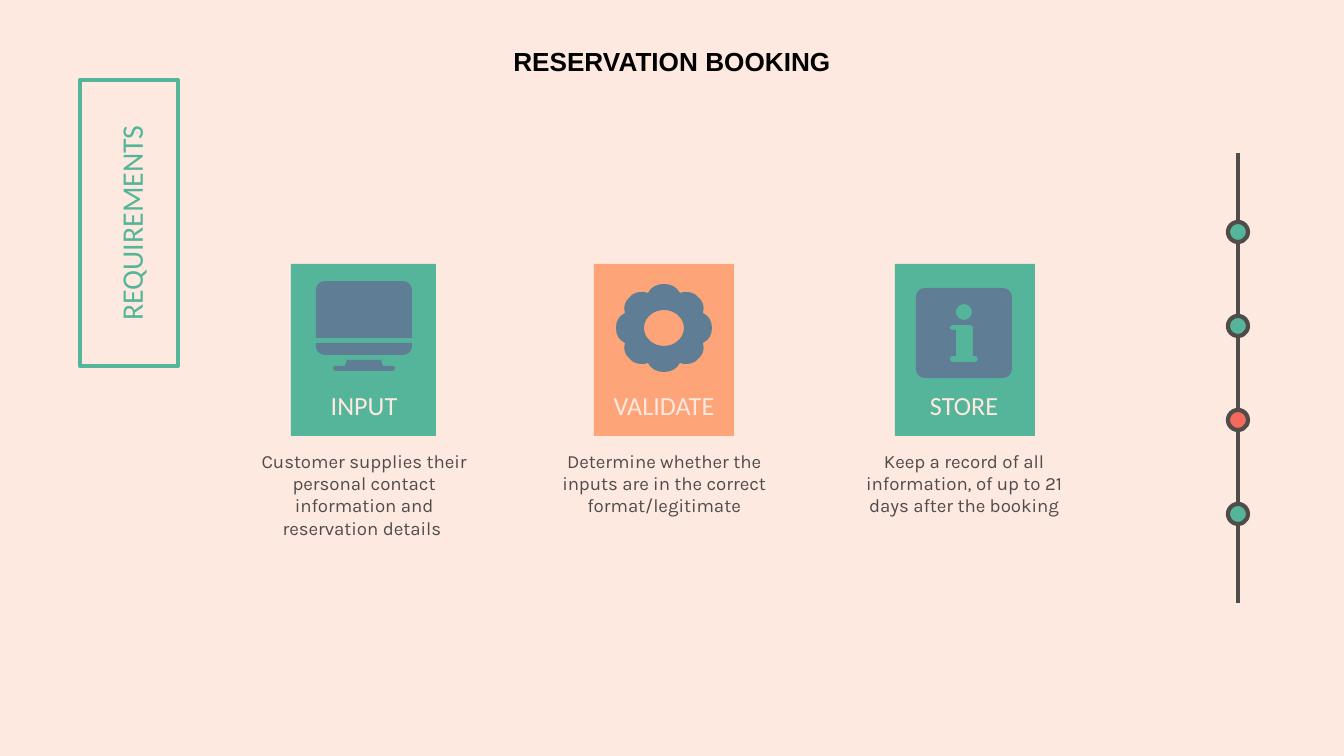
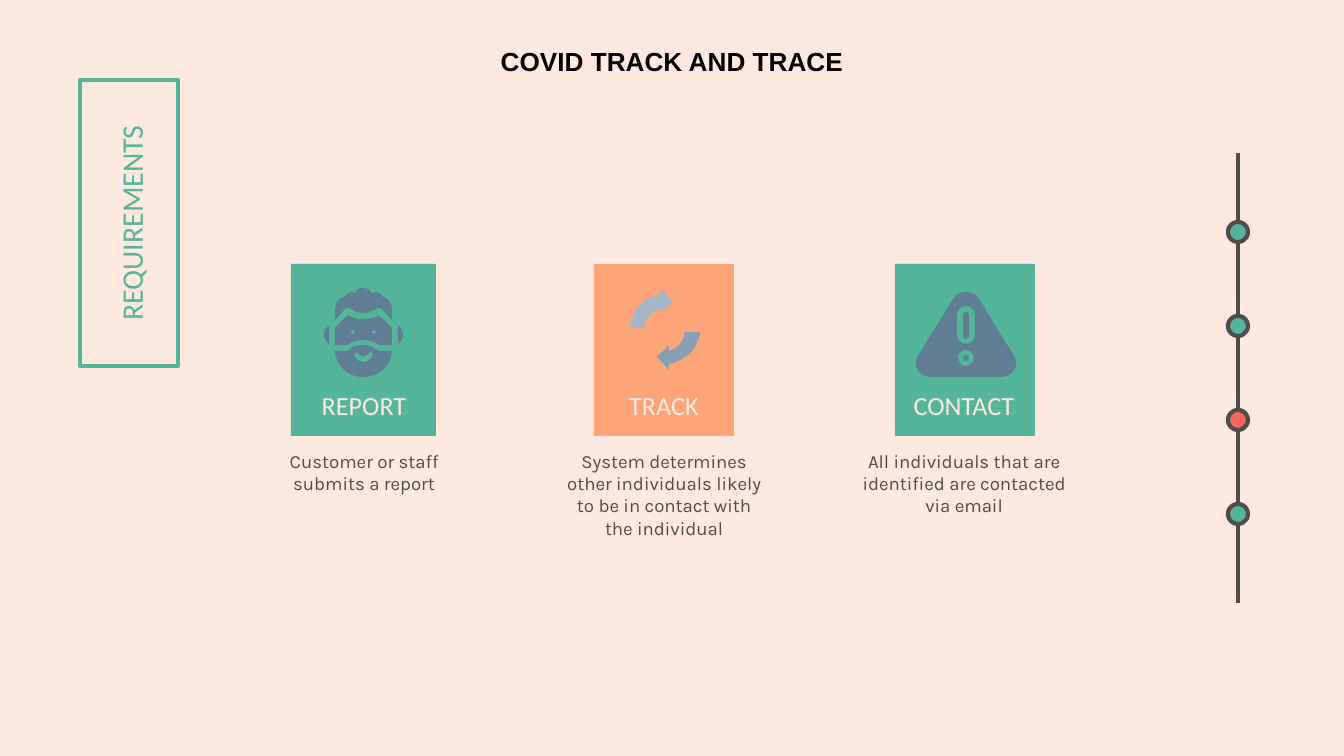
from lxml import etree
from pptx import Presentation
from pptx.dml.color import RGBColor
from pptx.enum.shapes import MSO_CONNECTOR, MSO_SHAPE
from pptx.enum.text import MSO_ANCHOR as Anchor, PP_ALIGN as Align
from pptx.oxml.ns import qn
from pptx.util import Inches, Pt

PAPER = RGBColor(0xFD, 0xE9, 0xDF)
GREEN = RGBColor(0x55, 0xB5, 0x9A)
ORANGE = RGBColor(0xFD, 0xA4, 0x79)
RED = RGBColor(0xF5, 0x6A, 0x5D)
INK = RGBColor(0x4F, 0x4C, 0x4A)
BLACK = RGBColor(0, 0, 0)
SLATE = RGBColor(0x5F, 0x7D, 0x95)
LIGHT_SLATE = RGBColor(0xA5, 0xB7, 0xC6)
MID_SLATE = RGBColor(0x86, 0x9F, 0xB2)

PIXEL = Inches(1) / 134.4
STROKE = Pt(2.25)


def px(value):
    return round(value * PIXEL)


# Outline makers: each returns M / L / C commands in pixels
def oval(x, y, rx, ry):
    kx, ky = rx * 0.55, ry * 0.55
    return (f"M {x} {y - ry} C {x + kx} {y - ry} {x + rx} {y - ky} {x + rx} {y} "
            f"C {x + rx} {y + ky} {x + kx} {y + ry} {x} {y + ry} "
            f"C {x - kx} {y + ry} {x - rx} {y + ky} {x - rx} {y} "
            f"C {x - rx} {y - ky} {x - kx} {y - ry} {x} {y - ry} ")


def rounded(left, top, right, bottom, r):
    k = r * 0.45
    return (f"M {left + r} {top} "
            f"C {left + k} {top} {left} {top + k} {left} {top + r} L {left} {bottom - r} "
            f"C {left} {bottom - k} {left + k} {bottom} {left + r} {bottom} L {right - r} {bottom} "
            f"C {right - k} {bottom} {right} {bottom - k} {right} {bottom - r} L {right} {top + r} "
            f"C {right} {top + k} {right - k} {top} {right - r} {top} ")


# Icons: lists of (colour, outline)
MONITOR = [
    (SLATE, "M 347 360 L 345 366 336 366 C 335 366 333 367 333 368 "
            "C 333 370 335 371 336 371 L 392 371 C 394 371 395 370 395 368 "
            "C 395 367 394 366 392 366 L 383 366 381 360"),
    (SLATE, "M 316 343 L 316 347 C 316 351 320 355 325 355 L 403 355 "
            "C 408 355 412 351 412 347 L 412 343"),
    (SLATE, "M 325 281 C 320 281 316 285 316 290 L 316 338 412 338 412 290 "
            "C 412 285 408 281 403 281"),
]
GEAR = [
    (SLATE, oval(664, 328, 20, 18) +
     "M 664 284 C 657 284 651 287 648 293 C 646 292 644 292 642 292 "
     "C 638 292 633 293 630 297 C 625 301 623 307 625 313 "
     "C 619 316 616 321 616 328 C 616 335 619 340 625 343 "
     "C 623 349 625 355 630 359 C 633 363 638 364 642 364 "
     "C 644 364 646 364 648 363 C 651 369 657 372 664 372 "
     "C 671 372 677 369 680 363 C 682 364 684 364 686 364 "
     "C 690 364 695 363 698 359 C 703 355 705 349 703 343 "
     "C 709 340 712 335 712 328 C 712 321 709 316 703 313 "
     "C 705 307 703 301 698 297 C 695 293 690 292 686 292 "
     "C 684 292 682 292 680 293 C 677 287 671 284 664 284"),
]
INFO = [
    (SLATE, oval(964, 312, 8, 8) +
     "M 970 325 C 972 325 973 326 973 328 L 973 356 975 356 "
     "C 977 356 978 357 978 359 C 978 361 977 362 975 362 L 953 362 "
     "C 951 362 950 361 950 359 C 950 357 951 356 953 356 L 956 356 956 330 953 330 "
     "C 951 330 950 329 950 328 C 950 326 951 325 953 325 " +
     rounded(916, 288, 1012, 378, 9)),
]
MASKED_FACE = [
    (SLATE, "M 329 325 C 326 328 324 331 324 335 C 324 339 326 342 329 344"),
    (SLATE, oval(353, 332, 2, 2) + oval(374, 332, 2, 2) +
     "M 348 315 L 335 328 335 345 347 345 C 352 342 358 340 363 340 "
     "C 369 340 375 342 380 345 L 392 345 392 328 379 315 "
     "C 374 318 369 319 363 319 C 358 319 352 318 348 315"),
    (SLATE, "M 363 288 C 360 288 356 289 355 293 C 350 291 346 293 344 297 "
            "C 339 298 335 303 335 309 L 335 320 345 309 C 346 308 348 307 350 308 "
            "C 354 311 358 313 363 313 C 369 313 373 311 377 308 "
            "C 379 307 381 308 382 309 L 392 320 392 309 "
            "C 392 303 388 298 383 297 C 381 293 377 291 372 293 C 371 290 367 288 363 288"),
    (SLATE, "M 371 352 C 373 352 374 355 372 357 C 370 360 367 362 363 362 "
            "C 360 362 357 360 355 357 C 353 354 356 351 358 353 "
            "C 359 355 361 356 363 356 C 366 356 367 355 369 353 C 369 353 370 352 371 352 "
            "M 363 345 C 358 345 353 346 349 350 C 348 351 348 351 347 351 L 335 351 "
            "C 336 366 348 377 363 377 C 379 377 391 366 392 351 L 379 351 "
            "C 379 351 378 351 377 350 C 373 347 368 345 363 345"),
    (SLATE, "M 398 325 L 398 344 C 401 342 403 339 403 335 C 403 331 401 328 398 325"),
]
CYCLE = [
    (LIGHT_SLATE, "M 661 289 L 661 294 C 644 297 631 311 630 328 L 644 328 "
                  "C 645 319 652 311 661 309 L 661 313 673 302"),
    (MID_SLATE, "M 685 332 C 684 340 678 349 669 351 L 669 345 657 357 669 370 "
                "669 364 C 685 361 699 348 700 332"),
]
WARNING = [
    (SLATE, rounded(963, 312, 969, 339, 3)),
    (SLATE, rounded(957, 306, 975, 344, 9) + oval(966, 358, 8, 8) +
     "M 966 292 C 961 292 956 294 953 299 L 918 356 C 912 366 919 377 931 377 "
     "L 1001 377 C 1013 377 1020 366 1014 356 L 979 299 C 976 294 971 292 966 292"),
    (SLATE, oval(966, 358, 3, 3)),
]

# Content: title, then (label, caption, icon) for each card
PAGES = [
    ("RESERVATION BOOKING", [
        ("INPUT", "Customer supplies their personal contact information and reservation details ",
         MONITOR),
        ("VALIDATE", "Determine whether the inputs are in the correct format/legitimate", GEAR),
        ("STORE", "Keep a record of all information, of up to 21 days after the booking", INFO),
    ]),
    ("COVID TRACK AND TRACE", [
        ("REPORT", "Customer or staff submits a report", MASKED_FACE),
        ("TRACK", "System determines other individuals likely to be in contact with the individual",
         CYCLE),
        ("CONTACT", "All individuals that are identified are contacted via email", WARNING),
    ]),
]
CARDS = [(291, 145, GREEN), (594, 140, ORANGE), (895, 140, GREEN)]  # left, width, fill
TEXT_CENTERS = [364, 664, 964]
DOTS = [GREEN, GREEN, RED, GREEN]


def style(shape, fill=None, line=None):
    shape.shadow.inherit = False
    if fill is None:
        shape.fill.background()
    else:
        shape.fill.solid()
        shape.fill.fore_color.rgb = fill
    if line is None:
        shape.line.fill.background()
    else:
        shape.line.color.rgb = line
        shape.line.width = STROKE


def add_preset(page, kind, left, top, width, height, **look):
    shape = page.shapes.add_shape(kind, px(left), px(top), px(width), px(height))
    style(shape, **look)


def add_text(page, text, left, top, width, height, *, size, font, color,
             anchor=Anchor.TOP, bold=False, turn=0):
    box = page.shapes.add_textbox(px(left), px(top), px(width), px(height))
    box.rotation = turn
    frame = box.text_frame
    frame.word_wrap = True
    frame.vertical_anchor = anchor
    frame.margin_left = frame.margin_right = Inches(0.1)
    frame.margin_top = frame.margin_bottom = Inches(0.1)
    para = frame.paragraphs[0]
    para.alignment = Align.CENTER
    span = para.add_run()
    span.text = text
    span.font.size = Pt(size)
    span.font.name = font
    span.font.bold = bold
    span.font.color.rgb = color


def read_outline(outline):
    """Return the contours as point lists, and for every point whether it belongs to a curve."""
    contours, curved = [], []
    for contour in outline.split("M")[1:]:
        points = []
        for piece in contour.replace("L", "|L").replace("C", "|C").split("|"):
            numbers = [float(word) for word in piece.strip("LC ").split()]
            pairs = [(px(x), px(y)) for x, y in zip(numbers[::2], numbers[1::2])]
            points += pairs
            if piece[0] in "LC":
                curved += [piece[0] == "C"] * len(pairs)
        contours.append(points)
    return contours, curved


def add_icon(page, icon):
    for color, outline in icon:
        (first, *others), curved = read_outline(outline)
        builder = page.shapes.build_freeform(*first[0], scale=1.0)
        builder.add_line_segments(first[1:], close=True)
        for contour in others:
            builder.move_to(*contour[0])
            builder.add_line_segments(contour[1:], close=True)
        shape = builder.convert_to_shape()
        style(shape, fill=color)

        # Join each three curve points into one Bezier segment
        segments = list(shape._element.iter(qn("a:lnTo")))
        bends = [segment for segment, bend in zip(segments, curved) if bend]
        for start, middle, end in zip(bends[::3], bends[1::3], bends[2::3]):
            start.tag = qn("a:cubicBezTo")
            for extra in (middle, end):
                start.append(extra[0])
                extra.getparent().remove(extra)


def add_timeline(page):
    line = page.shapes.add_connector(MSO_CONNECTOR.STRAIGHT, px(1238), px(153), px(1238), px(603))
    line.line.color.rgb = INK
    line.line.width = STROKE
    etree.SubElement(line._element.spPr, qn("a:effectLst"))
    for index, color in enumerate(DOTS):
        add_preset(page, MSO_SHAPE.OVAL, 1228, 222 + 94 * index, 20, 20, fill=color, line=INK)


deck = Presentation()
deck.slide_width, deck.slide_height = px(1344), px(756)
backdrop = deck.slide_master.background.fill
backdrop.solid()
backdrop.fore_color.rgb = PAPER

for title, cards in PAGES:
    page = deck.slides.add_slide(deck.slide_layouts[6])

    # Framed side heading
    add_preset(page, MSO_SHAPE.RECTANGLE, 80, 80, 98, 286, line=GREEN)
    add_text(page, "REQUIREMENTS", -15, 169, 292, 108, size=16, font="Calibri",
             color=GREEN, anchor=Anchor.MIDDLE, turn=270)

    # Cards, then their labels and captions
    for left, width, fill in CARDS:
        add_preset(page, MSO_SHAPE.RECTANGLE, left, 264, width, 172, fill=fill)
    for center, (label, caption, icon) in zip(TEXT_CENTERS, cards):
        add_text(page, label, center - 142, 378, 284, 56, size=14, font="Calibri",
                 color=PAPER, anchor=Anchor.BOTTOM)
        add_text(page, caption, center - 116, 436, 232, 164, size=10, font="Karla", color=INK)

    add_timeline(page)
    for label, caption, icon in cards:
        add_icon(page, icon)
    add_text(page, title, 249, 9, 846, 105, size=14, font="Arial", color=BLACK,
             anchor=Anchor.MIDDLE, bold=True)

deck.save("out.pptx")
